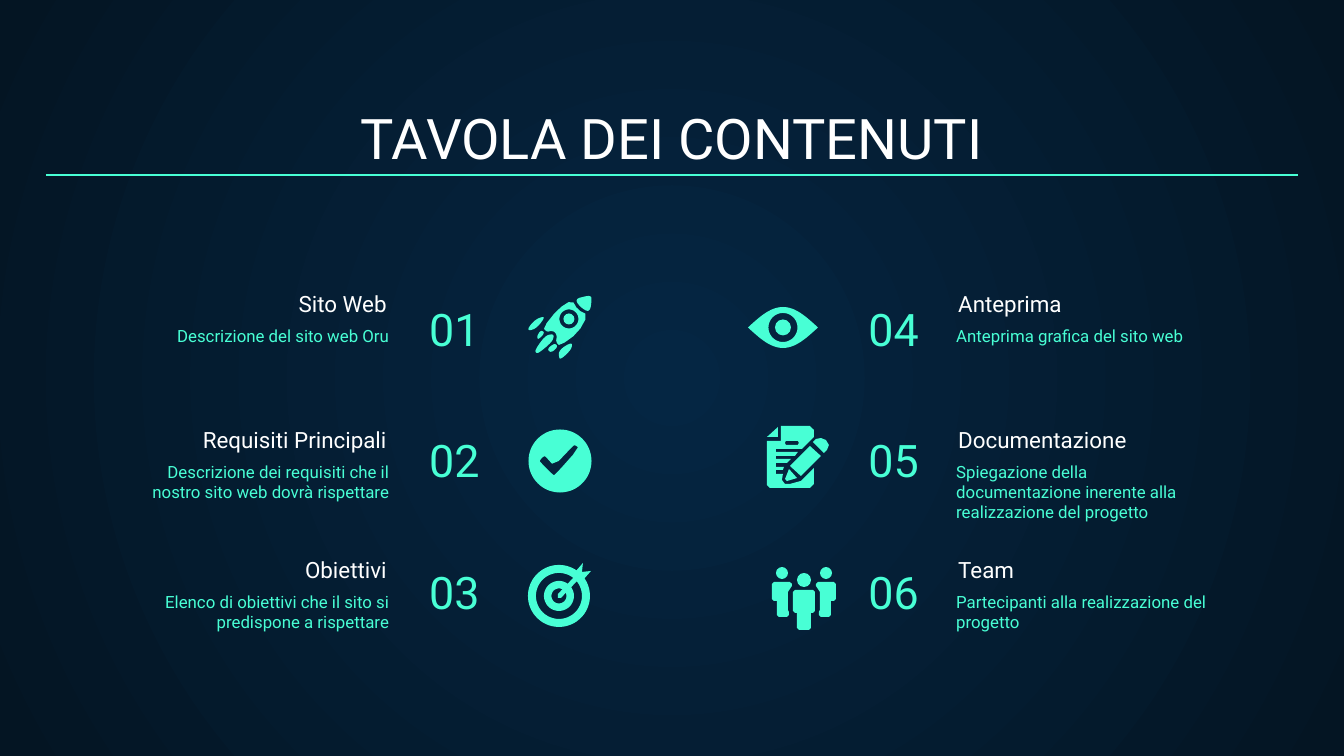
from math import cos, pi, sin

from pptx import Presentation
from pptx.dml.color import RGBColor
from pptx.enum.shapes import MSO_CONNECTOR, MSO_SHAPE
from pptx.enum.text import MSO_ANCHOR, PP_ALIGN
from pptx.oxml.ns import qn
from pptx.util import Inches, Pt
from lxml.etree import SubElement

PX = 9144000 / 1344
MINT = RGBColor(0x48, 0xFF, 0xD5)
WHITE = RGBColor(0xFF, 0xFF, 0xFF)
NAVY = RGBColor(0x05, 0x26, 0x43)
NIGHT = RGBColor(0x04, 0x15, 0x23)
LEFT, MID, RIGHT = PP_ALIGN.LEFT, PP_ALIGN.CENTER, PP_ALIGN.RIGHT


def emu(*lengths):
    return [round(n * PX) for n in lengths]


def write(slide, box, text, size=9, color=MINT, align=LEFT, anchor=MSO_ANCHOR.TOP):
    frame = slide.shapes.add_textbox(*emu(*box)).text_frame
    frame.word_wrap = True
    frame.vertical_anchor = anchor
    frame.margin_left = frame.margin_right = Inches(0.1)
    frame.margin_top = frame.margin_bottom = Inches(0.1)
    para = frame.paragraphs[0]
    para.alignment = align
    run = para.add_run()
    run.text = text
    run.font.name = "Roboto"
    run.font.size = Pt(size)
    run.font.color.rgb = color


def paint(shape):
    shape.shadow.inherit = False
    shape.fill.solid()
    shape.fill.fore_color.rgb = MINT
    shape.line.fill.background()


def disc(slide, x, y, r):
    paint(slide.shapes.add_shape(MSO_SHAPE.OVAL, *emu(x - r, y - r, 2 * r, 2 * r)))


def ring(x, y, r, steps=48):
    """Points of a circle, for use as one contour of a freeform."""
    turns = [2 * pi * i / steps for i in range(steps)]
    return [(x + r * cos(t), y + r * sin(t)) for t in turns]


def soft(points, rounds=2):
    """Round a polygon by cutting its corners."""
    for _ in range(rounds):
        points = [
            (a + (c - a) * k, b + (d - b) * k)
            for (a, b), (c, d) in zip(points, points[1:] + points[:1])
            for k in (0.25, 0.75)
        ]
    return points


def blob(slide, x, y, *loops):
    """Fill closed contours; an inner one makes a hole."""
    loops = [[tuple(emu(x + a, y + b)) for a, b in loop] for loop in loops]
    pen = slide.shapes.build_freeform(*loops[0][0], scale=1.0)
    for i, loop in enumerate(loops):
        if i:
            pen.move_to(*loop[0])
        pen.add_line_segments(loop[1:], close=True)
    paint(pen.convert_to_shape())


def rocket(slide, x, y):
    body = [(44, 4), (30, 13), (15, 32), (19, 36), (23, 35), (27, 36), (29, 40),
            (28, 46), (32, 50), (50, 37), (60, 19), (50, 14)]
    blob(slide, x, y, soft(body, 1), ring(41, 23, 9.5))
    disc(slide, x + 41, y + 23, 5.5)
    parts = [
        [(59, 0), (47, 3), (52, 11), (62, 17), (64, 2), (62, 0)],
        [(18, 20), (8, 23), (0, 32), (1, 35), (9, 32)],
        [(44, 46), (31, 54), (31, 62), (33, 63), (39, 58), (44, 52)],
        [(24, 38), (17, 40), (7, 54), (8, 57), (11, 57), (24, 46), (26, 40)],
        [(13, 34), (9, 40), (10, 44), (17, 37)],
        [(27, 47), (19, 53), (23, 57), (30, 51)],
    ]
    for part in parts:
        blob(slide, x, y, soft(part))


def check(slide, x, y):
    tick = [(47, 16), (51, 19), (27, 46), (25, 46), (12, 33), (12, 31),
            (16, 27), (18, 28), (26, 37), (45, 17)]
    blob(slide, x, y, ring(32, 32, 31.5, 72), soft(tick, 1))


def target(slide, x, y):
    blob(slide, x, y, *[ring(31, 33, r, 72) for r in (31, 23, 15, 7.5)])
    blob(slide, x, y, [(30, 31), (48, 12), (48, 8), (55, 0), (54, 9), (63, 8),
                       (56, 16), (51, 16), (33, 35), (30, 35)])


def eye(slide, x, y):
    arch = [(70 * i / 24, 20.5 * sin(pi * i / 24)) for i in range(25)]
    lens = [(a, 20.5 - b) for a, b in arch] + [(a, 20.5 + b) for a, b in arch[-2:0:-1]]
    blob(slide, x, y, lens, ring(35, 20.5, 14.5))
    disc(slide, x + 35, y + 20.5, 8)


def paper(slide, x, y):
    page = [(15, 0), (15, 15), (1, 15), (1, 59), (4, 62), (44, 62), (48, 58), (48, 42),
            (35, 55), (24, 58), (19, 58), (16, 54), (17, 48), (10, 48), (10, 44),
            (17, 44), (18, 41), (10, 41), (10, 37), (21, 37), (25, 33), (10, 33),
            (10, 30), (29, 30), (32, 26), (10, 26), (10, 23), (36, 23), (48, 11),
            (48, 4), (44, 0)]
    dash = [(20, 15), (32, 15), (33, 17), (32, 19), (20, 19), (19, 17)]
    blob(slide, x, y, page, dash)
    blob(slide, x, y, [(12, 1), (1, 11), (12, 11)])
    blob(slide, x, y, [(23, 43), (19, 53), (21, 55), (31, 52)])
    blob(slide, x, y, [(44, 20), (24, 40), (35, 50), (55, 30)])
    blob(slide, x, y, [(47, 16), (50, 13), (55, 12), (60, 14), (63, 19),
                       (61, 24), (58, 27)])


def team(slide, x, y):
    side = [(0, 17), (2, 15), (18, 15), (20, 17), (20, 19), (16, 25), (16, 43),
            (17, 45), (17, 48), (15, 50), (7, 50), (5, 48), (5, 34), (2, 34), (0, 32)]
    front = [(21, 25), (23, 23), (41, 23), (43, 25), (43, 44), (41, 46), (39, 46),
             (39, 61), (37, 63), (27, 63), (25, 61), (25, 46), (23, 46), (21, 44)]
    for body in (side, [(64 - a, b) for a, b in side], front):
        blob(slide, x, y, body)
    for a, b, r in ((10, 6, 6), (54, 6, 6), (32, 13, 7)):
        disc(slide, x + a, y + b, r)


def base(slide):
    """Radial backdrop."""
    fill = slide.background.fill
    fill.gradient()
    for stop, color in zip(fill.gradient_stops, (NAVY, NIGHT)):
        stop.color.rgb = color
    grad = next(slide.element.iter(qn("a:gradFill")))
    grad.remove(grad.find(qn("a:lin")))
    track = SubElement(grad, qn("a:path"), {"path": "circle"})
    SubElement(track, qn("a:fillToRect"), {side: "50000" for side in "ltrb"})


def head(slide, x, y, w, h):
    write(slide, (x, y, w, h), "TAVOLA DEI CONTENUTI", size=30, color=WHITE,
          align=MID, anchor=MSO_ANCHOR.BOTTOM)
    line_y = y + h - 9
    rule = slide.shapes.add_connector(
        MSO_CONNECTOR.STRAIGHT, *emu(x, line_y, x + w, line_y))
    rule.line.color.rgb = MINT
    rule.line.width = Pt(0.75)
    SubElement(rule.element.spPr, qn("a:effectLst"))


def entry(slide, x, y, drop, gap, flip, num, name, note):
    """One topic: drop and gap offset its number and note, flip puts text on the right."""
    low = MSO_ANCHOR.BOTTOM
    side = LEFT if flip else RIGHT
    name_x, note_x, note_w, num_x = (186, 184, 278, 0) if flip else (1, 12, 296, 322)
    write(slide, (x + name_x, y, 305, 28), name, size=12, color=WHITE,
          align=side, anchor=low)
    write(slide, (x + note_x, y + gap, note_w, 74), note, align=side)
    write(slide, (x + num_x, y + drop, 173, 89), num, size=24,
          align=RIGHT if flip else LEFT, anchor=low)


ROWS = [(302, -22, 14), (438, -27, 10), (568, -25, 10)]
TOPICS = [
    ("Sito Web", "Descrizione del sito web Oru", rocket, 528, 296),
    ("Requisiti Principali",
     "Descrizione dei requisiti che il nostro sito web dovrà rispettare", check, 528, 429),
    ("Obiettivi", "Elenco di obiettivi che il sito si predispone a rispettare",
     target, 528, 563),
    ("Anteprima", "Anteprima grafica del sito web", eye, 748, 307),
    ("Documentazione",
     "Spiegazione della documentazione inerente alla realizzazione del progetto",
     paper, 766, 426),
    ("Team", "Partecipanti alla realizzazione del progetto", team, 772, 567),
]


def main():
    deck = Presentation()
    deck.slide_width, deck.slide_height = emu(1344, 756)
    slide = deck.slides.add_slide(deck.slide_layouts[6])
    base(slide)
    head(slide, 46, 95, 1252, 89)
    for i, (name, note, icon, x, y) in enumerate(TOPICS):
        flip, row = divmod(i, 3)
        entry(slide, 759 if flip else 94, *ROWS[row], flip, f"{i + 1:02}", name, note)
        icon(slide, x, y)
    deck.save("out.pptx")


if __name__ == "__main__":
    main()
